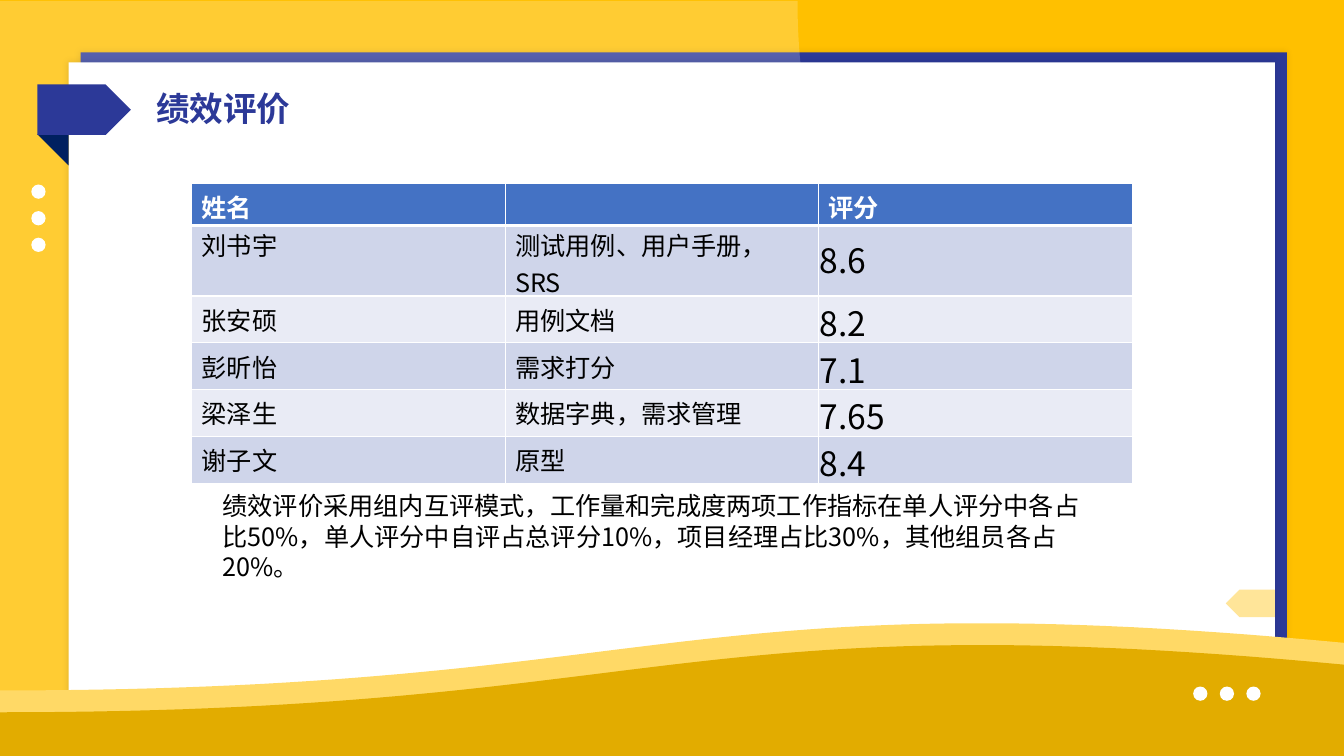
from dataclasses import dataclass

from lxml import etree
from pptx import Presentation
from pptx.dml.color import RGBColor
from pptx.enum import shapes, text
from pptx.oxml import ns
from pptx.util import Cm, Pt

SHAPE = shapes.MSO_SHAPE


@dataclass(frozen=True)
class Theme:
    font: str = "Noto Sans CJK SC"
    white: str = "FFFFFF"
    black: str = "000000"
    amber: str = "FFC000"
    pale_amber: str = "FFD966"
    dark_amber: str = "E2AC00"
    indigo: str = "2C3998"
    navy: str = "002060"
    header: str = "4472C4"
    bands: tuple = ("CFD5EA", "E9EBF5")
    large: int = 24
    body: int = 18


T = Theme()
HEADINGS = ("姓名", "", "评分")
MEMBERS = (
    ("刘书宇", "测试用例、用户手册，SRS", "8.6"),
    ("张安硕", "用例文档", "8.2"),
    ("彭昕怡", "需求打分", "7.1"),
    ("梁泽生", "数据字典，需求管理", "7.65"),
    ("谢子文", "原型", "8.4"),
)
HEADER_HEIGHT, WRAPPED_HEIGHT = 1.06, 1.78
NOTE = ("绩效评价采用组内互评模式，工作量和完成度两项工作指标在单人评分中各占比50%，"
        "单人评分中自评占总评分10%，项目经理占比30%，其他组员各占20%。")


def paint(sp, color, alpha=None):
    """Give a shape a plain fill, with alpha in percent, and no line or shadow."""
    sp.shadow.inherit = False
    sp.fill.solid()
    sp.fill.fore_color.rgb = RGBColor.from_string(color)
    sp.line.fill.background()
    if alpha is not None:
        clr = sp.fill._xPr.find(".//" + ns.qn("a:srgbClr"))
        etree.SubElement(clr, ns.qn("a:alpha"), val=str(alpha * 1000))


def add_shape(s, kind, box, color, alpha=None, rotation=0):
    sp = s.shapes.add_shape(kind, *map(Cm, box))
    sp.rotation = rotation
    paint(sp, color, alpha)
    return sp


def add_glow(sp):
    """Add a faint, soft shadow around a shape."""
    effects = sp._element.spPr.find(ns.qn("a:effectLst"))
    shadow = etree.SubElement(effects, ns.qn("a:outerShdw"), blurRad=str(Pt(5)),
                              dist="0", dir="0", algn="ctr", rotWithShape="0")
    clr = etree.SubElement(shadow, ns.qn("a:srgbClr"), val=T.black)
    etree.SubElement(clr, ns.qn("a:alpha"), val="10000")


def write(tf, content, size, color, bold=False):
    p = tf.paragraphs[0]
    p.text = content
    p.alignment = text.PP_ALIGN.LEFT
    p.font.name = T.font
    p.font.size = Pt(size)
    p.font.bold = bold
    p.font.color.rgb = RGBColor.from_string(color)
    props = p._p.pPr.find(ns.qn("a:defRPr"))
    etree.SubElement(props, ns.qn("a:ea"), typeface=T.font)


def add_paper(s, box):
    """Stack the indigo sheet, the tinted backdrop and the white sheet."""
    x, y, w, h = box
    add_glow(add_shape(s, SHAPE.RECTANGLE, (x + 0.3, y - 0.25, w, h), T.indigo))
    add_shape(s, SHAPE.FLOWCHART_DOCUMENT, (x + 1.29, y - 4.57, 19.02, 25.07),
              T.white, alpha=20, rotation=270)
    add_glow(add_shape(s, SHAPE.RECTANGLE, box, T.white))


def add_wave(s, box, color, steps=60):
    """Fill the box below a cubic curve that swells towards the right."""
    x, y, w, h = box
    controls = ((0, y), (w / 2, y), (w / 2, y - 2.8), (w, y - 1.2))
    curve = []
    for i in range(steps + 1):
        t = i / steps
        weights = ((1 - t) ** 3, 3 * t * (1 - t) ** 2, 3 * t * t * (1 - t), t ** 3)
        px, py = (sum(k * c[axis] for k, c in zip(weights, controls)) for axis in (0, 1))
        curve.append((Cm(x + px), Cm(py)))
    builder = s.shapes.build_freeform(Cm(x), Cm(y + h))
    builder.add_line_segments(curve + [(Cm(x + w), Cm(y + h))])
    paint(builder.convert_to_shape(), color)


def add_dots(s, box, count=3, pitch=0.67):
    """Spread white dots along the longer side of the box."""
    x, y, w, h = box
    size = min(w, h)
    dx, dy = (pitch, 0) if w > h else (0, pitch)
    for i in range(count):
        add_shape(s, SHAPE.OVAL, (x + i * dx, y + i * dy, size, size), T.white)


def add_ribbon(s, box):
    x, y, w, h = box
    fold = 0.79
    add_shape(s, SHAPE.RIGHT_TRIANGLE, (x, y + h - 0.02, fold, fold), T.navy, rotation=180)
    add_shape(s, SHAPE.PENTAGON, box, T.indigo)


def add_title(s, box):
    sp = s.shapes.title
    s.shapes._spTree.append(sp._element)  # bring in front of the paper
    sp.left, sp.top, sp.width, sp.height = map(Cm, box)
    tf = sp.text_frame
    tf.word_wrap = False
    tf.auto_size = text.MSO_AUTO_SIZE.NONE
    tf.vertical_anchor = text.MSO_ANCHOR.MIDDLE
    write(tf, "绩效评价", T.large, T.indigo, bold=True)
    tf.paragraphs[0].line_spacing = 1.0


def underline_cell(cell):
    """Draw the thick white rule below a heading cell."""
    line = etree.Element(ns.qn("a:lnB"), w=str(Pt(3)))
    fill = etree.SubElement(line, ns.qn("a:solidFill"))
    etree.SubElement(fill, ns.qn("a:srgbClr"), val=T.white)
    cell._tc.get_or_add_tcPr().insert(0, line)


def add_scores(s, box):
    h = box[3]
    rows = (HEADINGS,) + MEMBERS
    single = (h - HEADER_HEIGHT - WRAPPED_HEIGHT) / (len(rows) - 2)
    heights = [HEADER_HEIGHT, WRAPPED_HEIGHT] + [single] * (len(rows) - 2)
    table = s.shapes.add_table(len(rows), len(HEADINGS), *map(Cm, box)).table
    for i, values in enumerate(rows):
        table.rows[i].height = Cm(heights[i])
        for j, value in enumerate(values):
            cell = table.cell(i, j)
            header, score = i == 0, i > 0 and j == 2
            cell.fill.solid()
            cell.fill.fore_color.rgb = RGBColor.from_string(
                T.header if header else T.bands[(i - 1) % 2])
            if header:
                underline_cell(cell)
            if score:
                cell.vertical_anchor = text.MSO_ANCHOR.MIDDLE
                cell.margin_left = cell.margin_right = cell.margin_top = Cm(0.03)
            elif i == 1:
                cell.margin_top = Cm(0.03)  # room for the wrapped line
            write(cell.text_frame, value, T.large if score else T.body,
                  T.white if header else T.black, bold=header)


def add_note(s, box):
    tf = s.shapes.add_textbox(*map(Cm, box)).text_frame
    tf.word_wrap = True
    write(tf, NOTE, T.body, T.black)


def main():
    prs = Presentation()
    prs.slide_width, prs.slide_height = Cm(33.87), Cm(19.05)
    s = prs.slides.add_slide(prs.slide_layouts[5])
    s.background.fill.solid()
    s.background.fill.fore_color.rgb = RGBColor.from_string(T.amber)

    add_paper(s, (1.73, 1.57, 30.4, 15.93))
    add_wave(s, (0, 17.4, 33.87, 1.65), T.pale_amber)
    add_wave(s, (0, 17.95, 33.87, 1.1), T.dark_amber)
    add_dots(s, (30.07, 17.3, 1.7, 0.36))
    add_dots(s, (0.79, 4.65, 0.36, 1.7))
    add_ribbon(s, (0.94, 2.13, 2.36, 1.27))
    add_shape(s, SHAPE.PENTAGON, (30.89, 14.86, 1.24, 0.69), T.amber, alpha=40, rotation=180)
    add_title(s, (3.68, 2.08, 3.94, 1.27))
    add_note(s, (5.36, 12.24, 22.66, 1.8))
    add_scores(s, (4.83, 4.62, 23.7, 7.56))
    prs.save("out.pptx")


if __name__ == "__main__":
    main()
